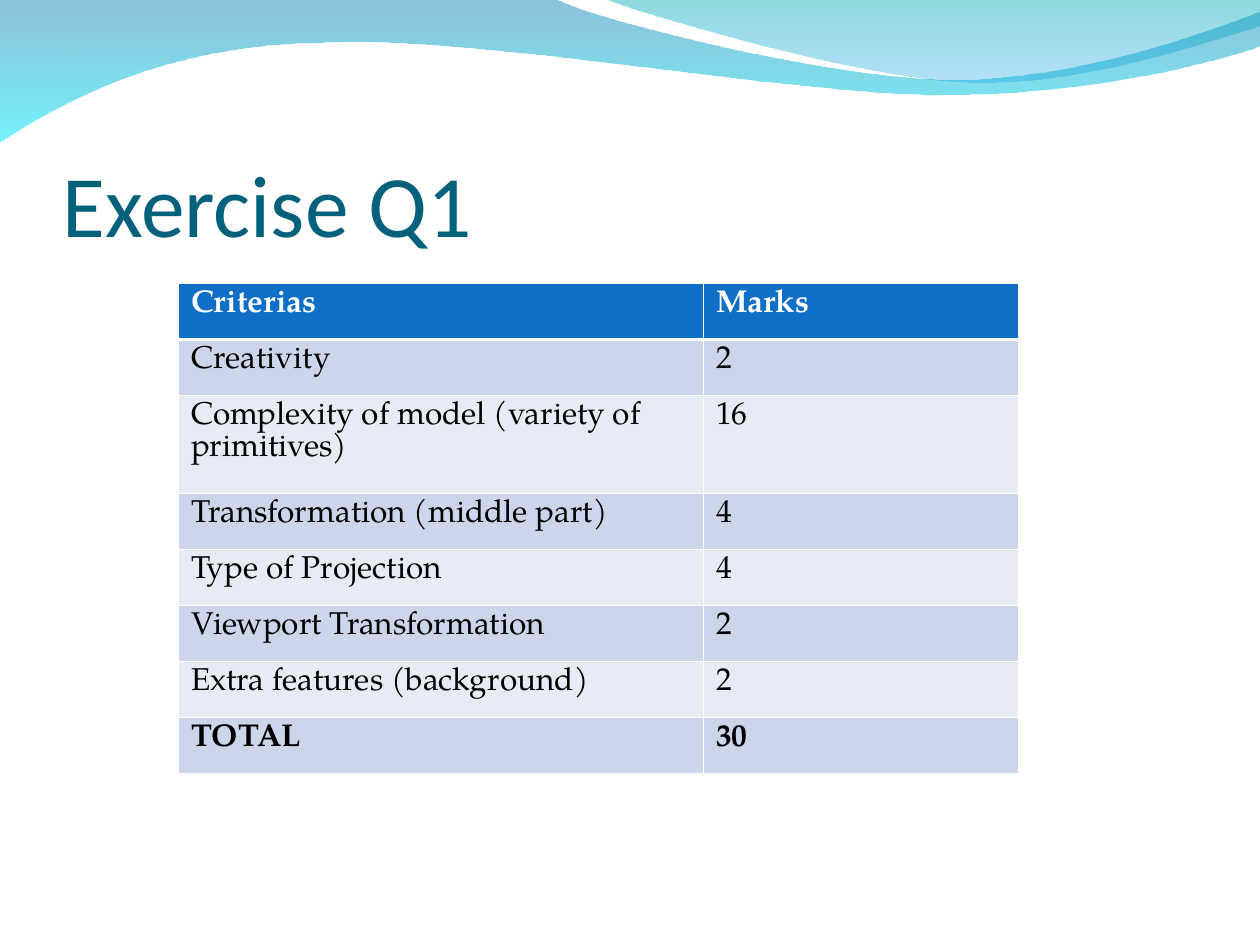
"""Build the marking criteria slide for Exercise Q1."""
from dataclasses import dataclass

from lxml import etree
from pptx import Presentation
from pptx import util as u
from pptx.dml.color import RGBColor
from pptx.enum import text
from pptx.oxml import ns


@dataclass(frozen=True)
class Theme:
    title_font: str = "Calibri"
    body_font: str = "TeX Gyre Pagella"
    title_size: int = 50
    body_size: int = 18
    title: str = "04617B"
    header: str = "0F6FC6"
    bands: tuple = ("CCD5EA", "E7EBF5")
    white: str = "FFFFFF"
    black: str = "000000"
    wave: tuple = (("0079AF", 45), ("00EBF8", 55))
    crest: tuple = (("00ADB6", 45), ("009BE5", 30))
    thin: float = 0.45
    thick: float = 1.47


WAVE = [(0, -0.01), (4.4, -0.01), (4.76, 0.17, 6.64, 0.63, 7.58, 0.63),
        (8.53, 0.63, 9.58, 0.26, 10, 0.09), (10.01, 0.36),
        (9.83, 0.44, 8.7, 0.76, 7.46, 0.75), (6.22, 0.75, 3.82, 0.28, 2.57, 0.34),
        (1.29, 0.35, 0.46, 0.83, -0.01, 1.13)]
CREST = [(4.79, -0.01), (5.09, 0.11, 6.82, 0.62, 7.69, 0.65),
         (8.56, 0.69, 9.61, 0.32, 10, 0.21), (10, 0)]
CRITERIA = [("Criterias", "Marks"), ("Creativity", "2"),
            ("Complexity of model (variety of primitives)", "16"),
            ("Transformation (middle part)", "4"), ("Type of Projection", "4"),
            ("Viewport Transformation", "2"), ("Extra features (background)", "2"),
            ("TOTAL", "30")]


def write(frame, words, *, font, size, color, bold=False):
    run = frame.paragraphs[0].add_run()
    run.text = words
    run.font.name, run.font.size, run.font.bold = font, u.Pt(size), bold
    run.font.color.rgb = RGBColor.from_string(color)


def bend(ribbon, outline):
    lines = ribbon.element.spPr.iter(ns.qn("a:lnTo"))
    remaining = iter(list(lines))
    for segment in outline[1:]:
        corners = [next(remaining) for _ in range(len(segment) // 2)]
        if len(corners) == 3:
            curve = etree.Element(ns.qn("a:cubicBezTo"))
            corners[0].addprevious(curve)
            for corner in corners:
                curve.append(corner[0])
                corner.getparent().remove(corner)


class Deck:
    def __init__(self, theme):
        self.theme = theme
        self.presentation = Presentation()
        self.presentation.slide_width = u.Inches(10)
        self.presentation.slide_height = u.Inches(7.5)
        self.slide = self.presentation.slides.add_slide(self.presentation.slide_layouts[6])

    def ribbon(self, outline, stops):
        start, *corners = [(u.Inches(segment[i]), u.Inches(segment[i + 1]))
                           for segment in outline for i in range(0, len(segment), 2)]
        builder = self.slide.shapes.build_freeform(*start, scale=1.0)
        builder.add_line_segments(corners, close=True)
        ribbon = builder.convert_to_shape()
        bend(ribbon, outline)
        ribbon.shadow.inherit = False
        ribbon.line.fill.background()
        ribbon.fill.gradient()
        ribbon.fill.gradient_angle = 270
        for stop, (color, _) in zip(ribbon.fill.gradient_stops, stops):
            stop.color.rgb = RGBColor.from_string(color)
        for tint, (_, opacity) in zip(ribbon.element.spPr.iter(ns.qn("a:srgbClr")), stops):
            etree.SubElement(tint, ns.qn("a:alpha"), val=str(opacity * 1000))

    def title(self, words, left, top, width, height):
        box = self.slide.shapes.add_textbox(*map(u.Inches, (left, top, width, height)))
        frame = box.text_frame
        frame.word_wrap = True
        frame.vertical_anchor = text.MSO_ANCHOR.BOTTOM
        frame.margin_left = frame.margin_right = frame.margin_bottom = 0
        write(frame, words, font=self.theme.title_font, size=self.theme.title_size,
              color=self.theme.title)

    def border(self, cell, **widths):
        properties = cell._tc.get_or_add_tcPr()
        for index, (side, width) in enumerate(widths.items()):
            line = etree.Element(ns.qn(f"a:ln{side}"), w=str(u.Pt(width)))
            fill = etree.SubElement(line, ns.qn("a:solidFill"))
            etree.SubElement(fill, ns.qn("a:srgbClr"), val=self.theme.white)
            properties.insert(index, line)

    def table(self, rows, left, top, columns, heights):
        theme = self.theme
        grid = self.slide.shapes.add_table(
            len(rows), len(columns),
            *map(u.Inches, (left, top, sum(columns), sum(heights)))).table
        for column, width in zip(grid.columns, columns):
            column.width = u.Inches(width)
        for index, (row, height) in enumerate(zip(rows, heights)):
            grid.rows[index].height = u.Inches(height)
            header, total = index == 0, index == len(rows) - 1
            for column, words in enumerate(row):
                cell = grid.cell(index, column)
                cell.fill.solid()
                cell.fill.fore_color.rgb = RGBColor.from_string(
                    theme.header if header else theme.bands[(index - 1) % 2])
                write(cell.text_frame, words, font=theme.body_font, size=theme.body_size,
                      color=theme.white if header else theme.black, bold=header or total)
                self.border(cell, L=theme.thin, R=theme.thin,
                            T=theme.thick if index == 1 else theme.thin,
                            B=theme.thick if header else theme.thin)


def main():
    theme = Theme()
    deck = Deck(theme)
    deck.ribbon(WAVE, theme.wave)
    deck.ribbon(CREST, theme.crest)
    deck.title("Exercise Q1", 0.5, 0.77, 9, 1.25)
    heights = [0.78 if index == 2 else 3.11 / 7 for index in range(len(CRITERIA))]
    deck.table(CRITERIA, 17 / 12, 2.25, [25 / 6, 2.5], heights)
    deck.presentation.save("out.pptx")


if __name__ == "__main__":
    main()
